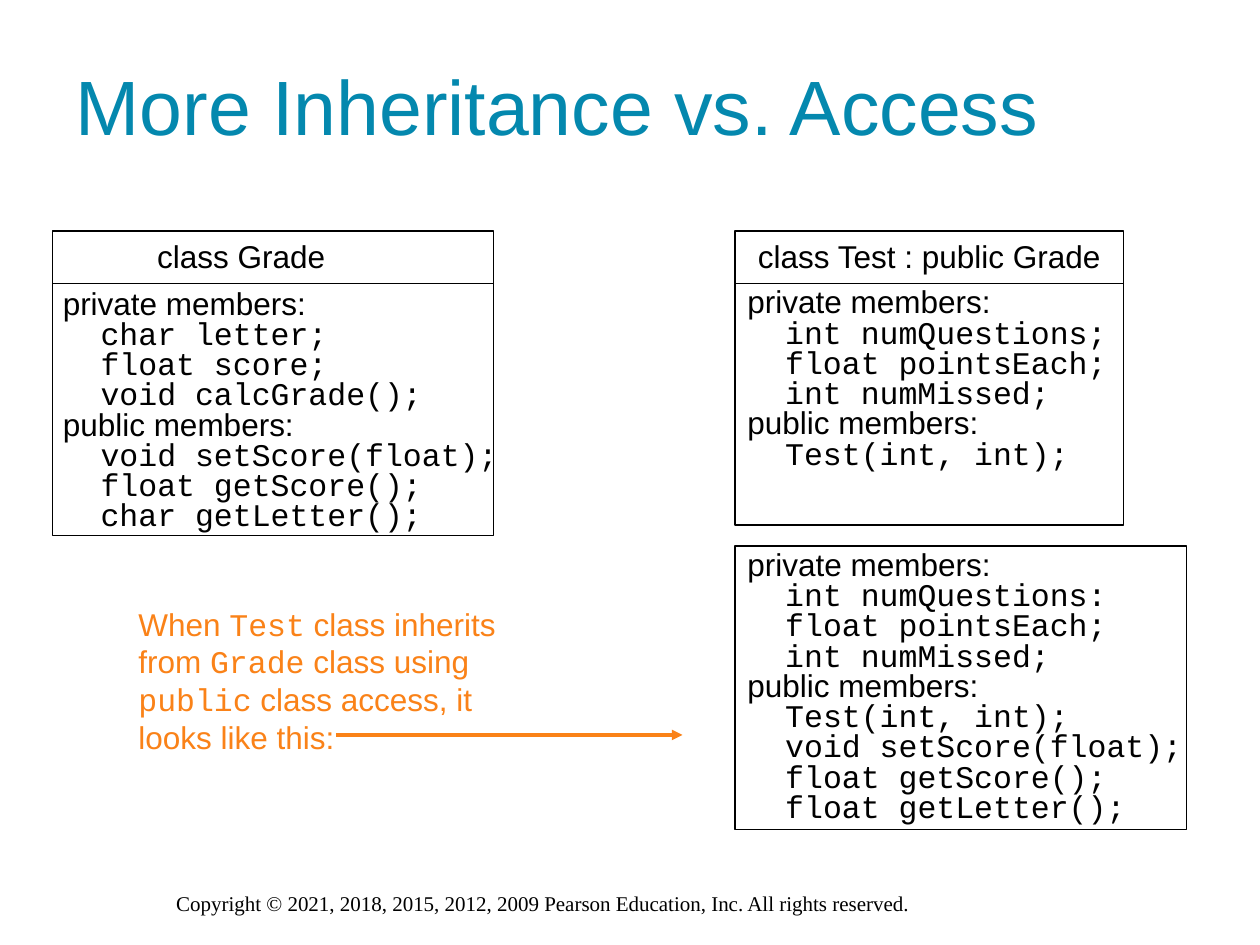
from lxml import etree
from pptx import Presentation
from pptx.dml.color import RGBColor
from pptx.enum import shapes, text
from pptx.oxml.ns import qn
from pptx.util import Pt

COLORS = {"title": "0488AE", "ink": "000000", "accent": "FA8218"}
SANS, MONO, SERIF = "Arial", "Courier New", "Times New Roman"

TITLE = "More Inheritance vs. Access"
COPYRIGHT = ("Copyright © 2021, 2018, 2015, 2012, 2009 Pearson Education, Inc. "
             "All rights reserved.")
# Each line is a list of (text, font) runs.
NOTE = [
    [("When ", SANS), ("Test", MONO), (" class inherits", SANS)],
    [("from ", SANS), ("Grade", MONO), (" class using", SANS)],
    [("public", MONO), (" class access, it looks like this:", SANS)],
]
TEST_PRIVATE = ["int numQuestions;", "float pointsEach;", "int numMissed;"]

HEADER_TOP, HEADER_H = 132, 30
BODY_TOP = HEADER_TOP + HEADER_H
# Frame and text boxes: left, top, width, height. Header text: left, width.
CLASSES = [
    {"header": "class Grade", "header_text": (80.6, 114.5),
     "frame": (30, BODY_TOP, 252, 144), "text": (28.8, BODY_TOP + 0.7, 263, 145),
     "wrap": False,
     "private": ["char letter;", "float score;", "void calcGrade();"],
     "public": ["void setScore(float);", "float getScore();", "char getLetter();"]},
    {"header": "class Test : public Grade", "header_text": (414, 234),
     "frame": (420, BODY_TOP, 222, 138), "text": (420, BODY_TOP, 222, 111),
     "wrap": True,
     "private": TEST_PRIVATE,
     "public": ["Test(int, int);"]},
    {"header": None,
     "frame": (420, 312, 258, 162), "text": (420, 312, 276, 163),
     "wrap": True,
     "private": ["int numQuestions:"] + TEST_PRIVATE[1:],
     "public": ["Test(int, int);", "void setScore(float);", "float getScore();",
                "float getLetter();"]},
]


def rgb(name):
    return RGBColor.from_string(COLORS[name])


def style(font, name, size, color):
    font.name, font.size = name, Pt(size)
    font.color.rgb = rgb(color)


def add_text(s, box, lines, color="ink", size=18, align=text.PP_ALIGN.LEFT,
             spacing=1.0, wrap=True):
    tf = s.shapes.add_textbox(*map(Pt, box)).text_frame
    tf.word_wrap = wrap
    for i, runs in enumerate(lines):
        p = tf.add_paragraph() if i else tf.paragraphs[0]
        p.alignment, p.line_spacing = align, spacing
        for words, font in runs:
            r = p.add_run()
            r.text = words
            style(r.font, font, size, color)


def add_frame(s, box):
    sp = s.shapes.add_shape(shapes.MSO_SHAPE.RECTANGLE, *map(Pt, box))
    sp.shadow.inherit = False
    sp.fill.background()
    sp.line.color.rgb = rgb("ink")
    sp.line.width = Pt(0.75)


def add_arrow(s, x1, y1, x2, y2):
    cx = s.shapes.add_connector(shapes.MSO_CONNECTOR.STRAIGHT,
                                *map(Pt, (x1, y1, x2, y2)))
    cx.line.color.rgb = rgb("accent")
    cx.line.width = Pt(2)
    etree.SubElement(cx.line._get_or_add_ln(), qn("a:tailEnd"), type="triangle")
    etree.SubElement(cx._element.spPr, qn("a:effectLst"))


def member_lines(cls):
    lines = []
    for access in ("private", "public"):
        lines.append([(f"{access} members:", SANS)])
        lines += [[("  " + code, MONO)] for code in cls[access]]
    return lines


def add_class(s, cls):
    add_text(s, cls["text"], member_lines(cls), spacing=0.8, wrap=cls["wrap"])
    add_frame(s, cls["frame"])
    if cls["header"]:
        left, width = cls["header_text"]
        add_text(s, (left, HEADER_TOP, width, 29), [[(cls["header"], SANS)]],
                 align=text.PP_ALIGN.CENTER)
        frame_left, _, frame_width, _ = cls["frame"]
        add_frame(s, (frame_left, HEADER_TOP, frame_width, HEADER_H))


def add_title(s):
    sp = s.shapes.title
    sp.left, sp.top, sp.width, sp.height = map(Pt, (36, 24, 600, 72))
    tf = sp.text_frame
    tf.text = TITLE
    tf.auto_size = text.MSO_AUTO_SIZE.NONE
    tf.vertical_anchor = text.MSO_ANCHOR.MIDDLE
    p = tf.paragraphs[0]
    p.alignment = text.PP_ALIGN.LEFT
    style(p.runs[0].font, SANS, 44, "title")


def main():
    prs = Presentation()
    prs.slide_width, prs.slide_height = Pt(720), Pt(540)
    s = prs.slides.add_slide(prs.slide_layouts.get_by_name("Title Only"))
    add_title(s)
    add_text(s, (93.6, 505.5, 534, 21.6), [[(COPYRIGHT, SERIF)]], size=12)
    for cls in CLASSES:
        add_class(s, cls)
    add_text(s, (72, 342, 246, 94), NOTE, color="accent")
    add_arrow(s, 192, 420, 390, 420)
    prs.save("out.pptx")


if __name__ == "__main__":
    main()
